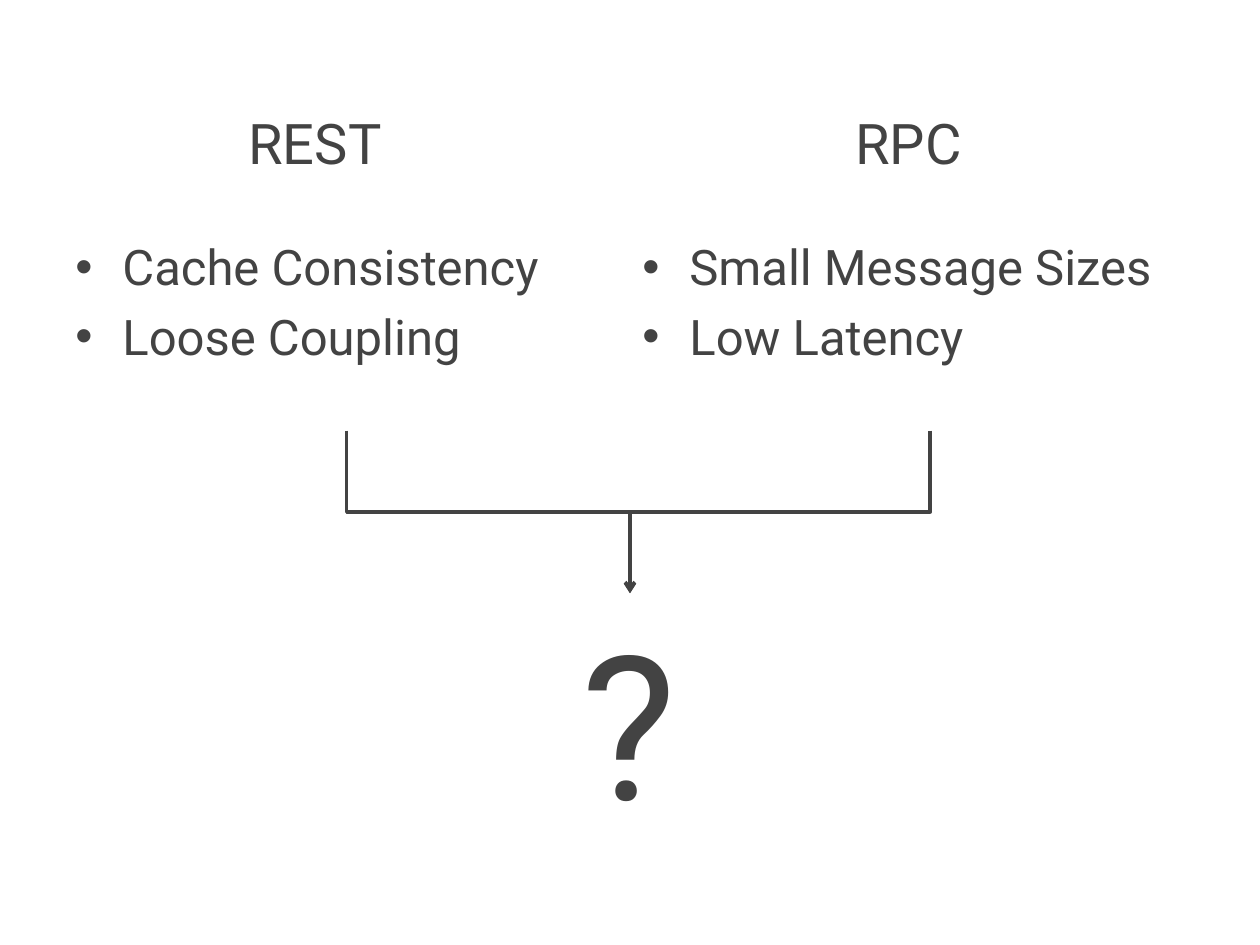
from pptx import Presentation
from pptx.dml.color import RGBColor
from pptx.enum.shapes import MSO_CONNECTOR
from pptx.enum.text import MSO_ANCHOR, MSO_AUTO_SIZE, PP_ALIGN
from pptx.oxml.ns import qn
from pptx.util import Cm, Pt
from lxml import etree

GREY = RGBColor(0x43, 0x43, 0x43)
FONT = "Roboto"
ELBOW = MSO_CONNECTOR.ELBOW
MIDDLE = MSO_ANCHOR.MIDDLE
CENTER = PP_ALIGN.CENTER
NO_FIT = MSO_AUTO_SIZE.NONE
FIT_SHAPE = MSO_AUTO_SIZE.SHAPE_TO_FIT_TEXT


def format_text(tf, size):
    for p in tf.paragraphs:
        for r in p.runs:
            r.font.name = FONT
            r.font.size = Pt(size)
            r.font.color.rgb = GREY


prs = Presentation()
prs.slide_width, prs.slide_height = Cm(25.4), Cm(19.05)
s = prs.slides.add_slide(prs.slide_layouts[5])

# Headings: the title on the left, a text box on the right
title = s.shapes.title
title.left, title.top, title.width, title.height = Cm(2.54), Cm(1.27), Cm(7.62), Cm(3.18)
rpc = s.shapes.add_textbox(Cm(12.7), Cm(1.27), Cm(11.23), Cm(3.18))
for sp, text in ((title, "REST"), (rpc, "RPC")):
    tf = sp.text_frame
    tf.text = text
    tf.word_wrap = True
    tf.auto_size = NO_FIT
    tf.vertical_anchor = MIDDLE
    tf.paragraphs[0].alignment = CENTER
    format_text(tf, 32)

# Bullet lists
for left, width, items in (
    (1.27, 11.43, ["Cache Consistency", "Loose Coupling"]),
    (12.7, 12.07, ["Small Message Sizes", "Low Latency"]),
):
    tf = s.shapes.add_textbox(Cm(left), Cm(4.65), Cm(width), Cm(4.01)).text_frame
    tf.word_wrap = True
    tf.text = "\n".join(items)
    for i, p in enumerate(tf.paragraphs):
        pPr = p._p.get_or_add_pPr()
        pPr.set("marL", str(Cm(0.95)))
        pPr.set("indent", str(-Cm(0.95)))
        etree.SubElement(pPr, qn("a:buFont")).set("typeface", "Arial")
        etree.SubElement(pPr, qn("a:buChar")).set("char", "•")
        p.space_before = Pt(6 if i else 0)
    format_text(tf, 28)

# Elbow arrows from both lists, turned upright about their centres
END_X, TOP, DROP = 12.7, 8.68, 3.28
for start_x, turn in ((18.75, 90), (6.99, 270)):
    span = abs(start_x - END_X)
    mid_x, mid_y = (start_x + END_X) / 2, TOP + DROP / 2
    half = DROP / 2 if turn == 90 else -DROP / 2
    c = s.shapes.add_connector(ELBOW, Cm(mid_x - half), Cm(mid_y - span / 2),
                               Cm(mid_x + half), Cm(mid_y + span / 2))
    c.line.color.rgb = GREY
    c.line.width = Pt(2)
    spPr = c._element.spPr
    spPr.find(qn("a:xfrm")).set("rot", str(turn * 60000))
    etree.SubElement(spPr.find(qn("a:ln")), qn("a:tailEnd")).set("type", "arrow")
    etree.SubElement(spPr, qn("a:effectLst"))

# Question mark
tf = s.shapes.add_textbox(Cm(11.48), Cm(11.96), Cm(2.49), Cm(5.18)).text_frame
tf.word_wrap = False
tf.auto_size = FIT_SHAPE
tf.text = "?"
format_text(tf, 115)

prs.save("out.pptx")
